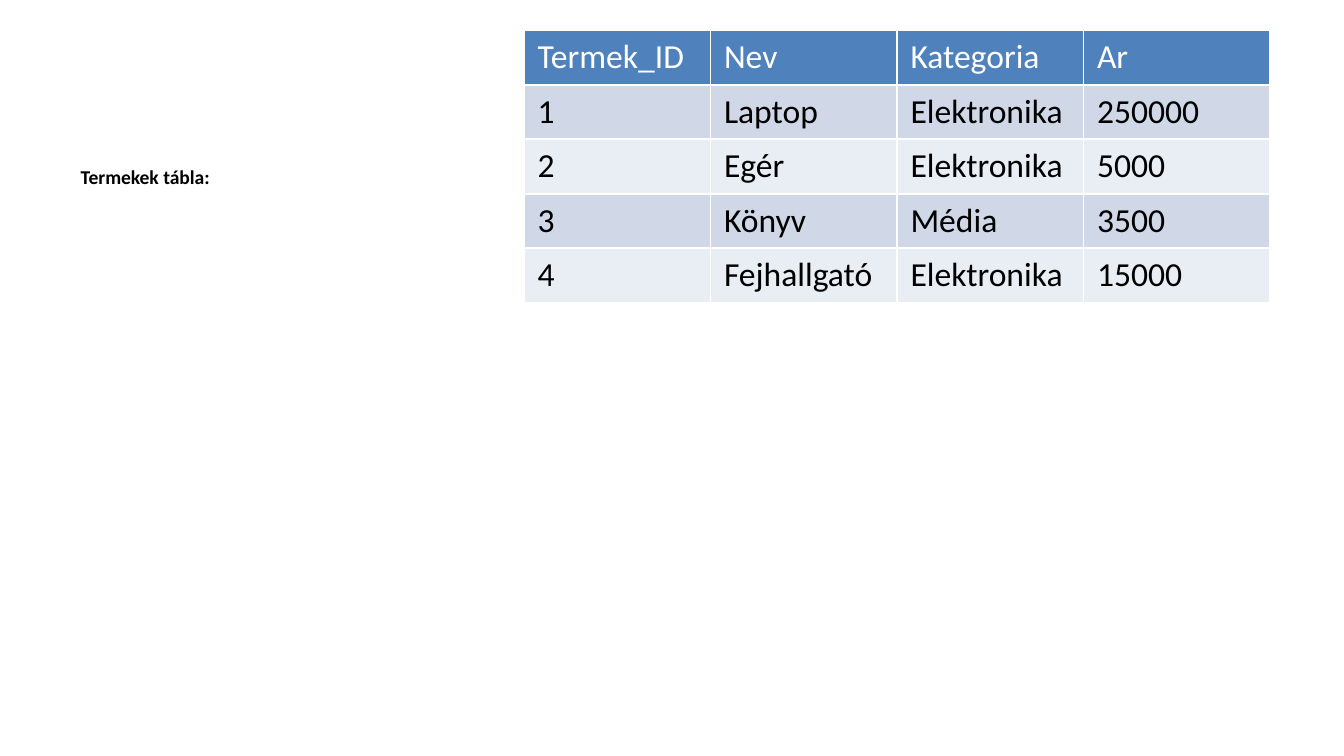
from dataclasses import dataclass

import pptx
import pptx.dml.color
import pptx.enum.text
import pptx.util

RGBColor = pptx.dml.color.RGBColor
BLACK = RGBColor(0x00, 0x00, 0x00)
WHITE = RGBColor(0xFF, 0xFF, 0xFF)
HEADER_BLUE = RGBColor(0x4F, 0x81, 0xBD)
BAND_COLORS = (RGBColor(0xE9, 0xED, 0xF4), RGBColor(0xD0, 0xD8, 0xE8))

FONT_NAME = "Calibri"
SLIDE_WIDTH = pptx.util.Inches(10)
SLIDE_HEIGHT = SLIDE_WIDTH * 9 // 16


@dataclass(frozen=True)
class Area:
    """A rectangle in percent of the slide's width and height."""

    left: float
    top: float
    width: float
    height: float


@dataclass(frozen=True)
class Product:
    number: str
    name: str
    category: str
    price: str


CAPTION_AREA = Area(5, 20.9, 32.9, 68.4)
TABLE_AREA = Area(39, 4, 55.5, 36)

PRODUCTS = [
    Product("Termek_ID", "Nev", "Kategoria", "Ar"),
    Product("1", "Laptop", "Elektronika", "250000"),
    Product("2", "Egér", "Elektronika", "5000"),
    Product("3", "Könyv", "Média", "3500"),
    Product("4", "Fejhallgató", "Elektronika", "15000"),
]


def place(area: Area) -> dict[str, int]:
    return {
        "left": round(area.left * SLIDE_WIDTH / 100),
        "top": round(area.top * SLIDE_HEIGHT / 100),
        "width": round(area.width * SLIDE_WIDTH / 100),
        "height": round(area.height * SLIDE_HEIGHT / 100),
    }


def set_values(target: object, values: dict) -> None:
    for name, value in values.items():
        setattr(target, name, value)


def write_text(text_frame, text: str, size: float, color: RGBColor, bold: bool) -> None:
    paragraph = text_frame.paragraphs[0]
    paragraph.space_before = pptx.util.Pt(0)
    run = paragraph.add_run()
    run.text = text
    set_values(run.font, {"name": FONT_NAME, "size": pptx.util.Pt(size), "bold": bold})
    run.font.color.rgb = color


def add_caption(slide) -> None:
    # Only the caption of the "Content with Caption" layout is used
    for placeholder in list(slide.placeholders):
        if placeholder.placeholder_format.idx != 2:
            placeholder.element.getparent().remove(placeholder.element)
    caption = slide.placeholders[2]
    set_values(caption, place(CAPTION_AREA))
    caption.text_frame.vertical_anchor = pptx.enum.text.MSO_ANCHOR.TOP
    write_text(caption.text_frame, "Termekek tábla:", 10.5, BLACK, True)


def add_products(slide) -> None:
    # The default table style supplies the white borders
    frame = slide.shapes.add_table(len(PRODUCTS), 4, **place(TABLE_AREA))
    for row_index, product in enumerate(PRODUCTS):
        is_header = row_index == 0
        fill_color = HEADER_BLUE if is_header else BAND_COLORS[row_index % 2]
        text_color = WHITE if is_header else BLACK
        texts = (product.number, product.name, product.category, product.price)
        for column_index, text in enumerate(texts):
            cell = frame.table.cell(row_index, column_index)
            cell.fill.solid()
            cell.fill.fore_color.rgb = fill_color
            write_text(cell.text_frame, text, 18, text_color, False)


def main() -> None:
    presentation = pptx.Presentation()
    set_values(presentation, {"slide_width": SLIDE_WIDTH, "slide_height": SLIDE_HEIGHT})
    slide = presentation.slides.add_slide(presentation.slide_layouts[7])
    add_caption(slide)
    add_products(slide)
    presentation.save("out.pptx")


if __name__ == "__main__":
    main()
